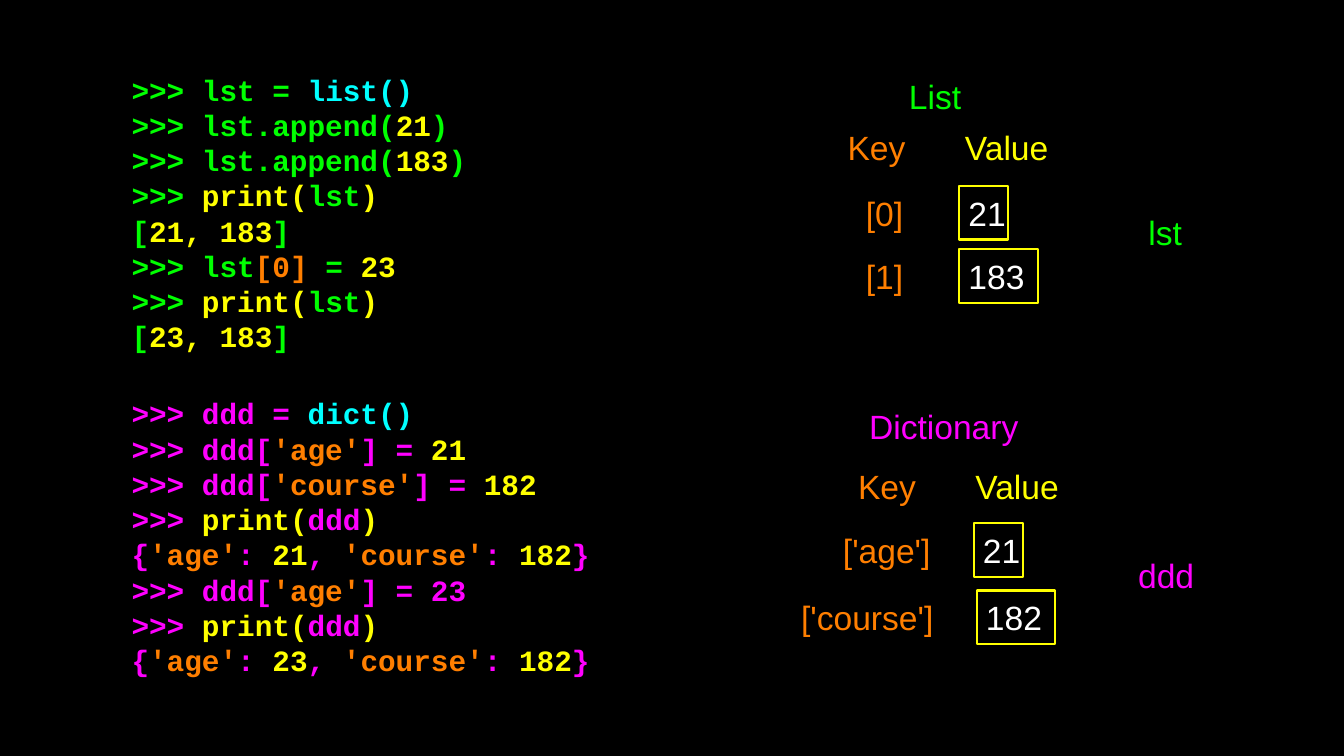
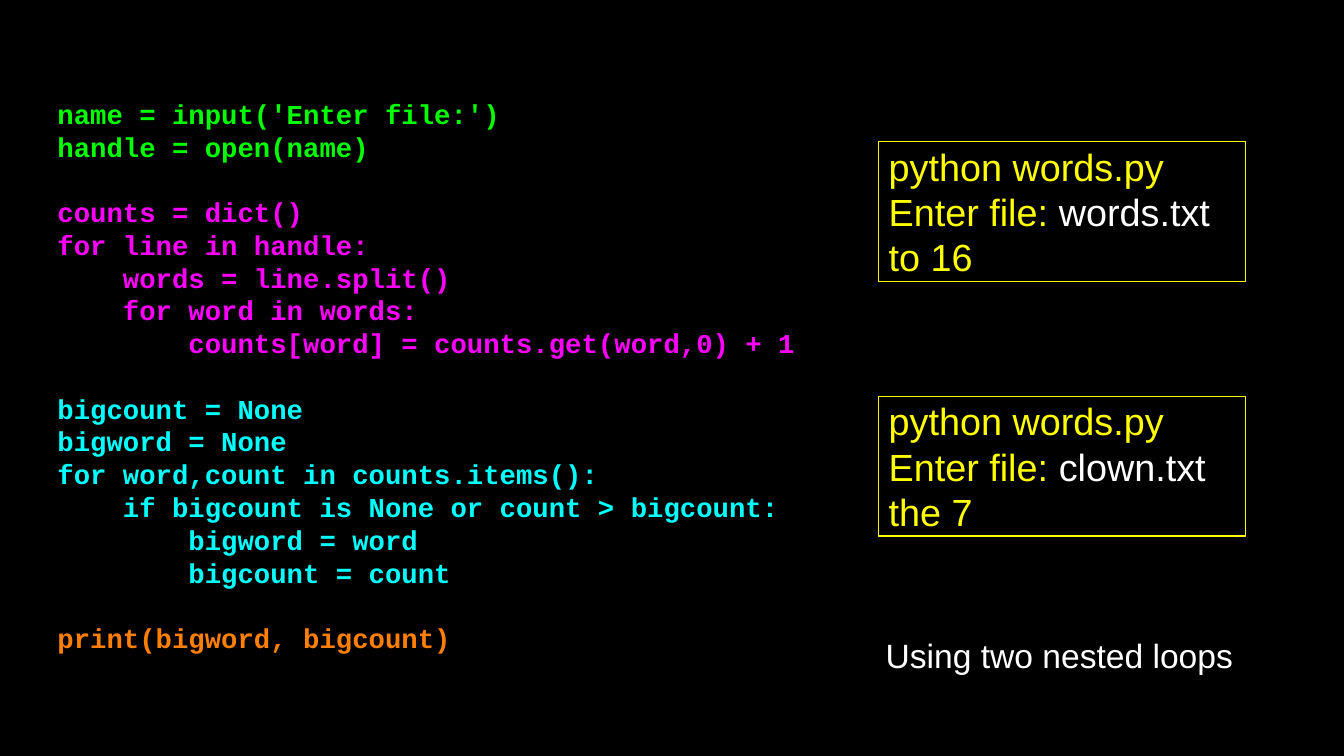
from dataclasses import dataclass
from functools import partial
from typing import NamedTuple

from pptx import Presentation
from pptx import util as u
from pptx.dml.color import RGBColor
from pptx.enum import shapes, text

Cm, Pt = u.Cm, u.Pt

# Shared style
BLACK = RGBColor(0x00, 0x00, 0x00)
WHITE = RGBColor(0xFF, 0xFF, 0xFF)
GREEN = RGBColor(0x00, 0xFF, 0x00)
CYAN = RGBColor(0x00, 0xFF, 0xFF)
YELLOW = RGBColor(0xFF, 0xFF, 0x00)
ORANGE = RGBColor(0xFF, 0x7F, 0x00)
MAGENTA = RGBColor(0xFF, 0x00, 0xFF)
LINE_HEIGHT = 1.2
LEFT, CENTER, RIGHT = (text.PP_ALIGN.LEFT, text.PP_ALIGN.CENTER,
                       text.PP_ALIGN.RIGHT)


class Run(NamedTuple):
    text: str
    color: RGBColor


class Line(NamedTuple):
    runs: list[Run]
    gap_before: bool = False


class Box(NamedTuple):
    """Left, top, width and height in centimetres."""
    left: float
    top: float
    width: float
    height: float


@dataclass(frozen=True)
class TextStyle:
    font: str
    size: int
    bold: bool = False


@dataclass(frozen=True)
class Entry:
    key: str
    value: str
    top: float
    key_left: float
    key_width: float
    value_left: float
    value_width: float


@dataclass(frozen=True)
class Collection:
    title: Run
    title_box: Box
    variable: Run
    variable_box: Box
    header_left: float
    header_top: float
    entries: list[Entry]


CODE_LARGE = TextStyle("Courier New", 28, True)
CODE_SMALL = TextStyle("Courier New", 26, True)
LABEL = TextStyle("Arial", 32)
CONSOLE = TextStyle("Arial", 36)

green, cyan, yellow, orange, magenta, white = (
    partial(Run, color=color)
    for color in (GREEN, CYAN, YELLOW, ORANGE, MAGENTA, WHITE))


# Drawing
def write_text(shape, lines: list[Line], style: TextStyle,
               align=LEFT, inset: float = 0) -> None:
    frame = shape.text_frame
    frame.word_wrap = True
    frame.vertical_anchor = text.MSO_ANCHOR.MIDDLE
    frame.margin_left = Cm(inset)
    frame.margin_right = frame.margin_top = frame.margin_bottom = 0
    for index, line in enumerate(lines):
        paragraph = frame.add_paragraph() if index else frame.paragraphs[0]
        paragraph.alignment = align
        paragraph.line_spacing = Pt(style.size * LINE_HEIGHT)
        if line.gap_before:
            paragraph.space_before = Pt(style.size * LINE_HEIGHT)
        font = paragraph.font
        font.name, font.size, font.bold = style.font, Pt(style.size), style.bold
        one_color = len({part.color for part in line.runs}) == 1
        if one_color:
            font.color.rgb = line.runs[0].color
        for part in line.runs:
            run = paragraph.add_run()
            run.text = part.text
            if not one_color:
                run.font.color.rgb = part.color


def add_text(slide, box: Box, lines: list[Line], style: TextStyle,
             align=LEFT, inset: float = 0) -> None:
    shape = slide.shapes.add_textbox(*map(Cm, box))
    write_text(shape, lines, style, align, inset)


def add_label(slide, box: Box, run: Run, align=CENTER) -> None:
    add_text(slide, box, [Line([run])], LABEL, align)


def add_frame(slide, box: Box, lines: list[Line], style: TextStyle,
              border: float, inset: float) -> None:
    shape = slide.shapes.add_shape(shapes.MSO_SHAPE.RECTANGLE, *map(Cm, box))
    shape.shadow.inherit = False
    shape.fill.background()
    shape.line.color.rgb = YELLOW
    shape.line.width = Pt(border)
    write_text(shape, lines, style, LEFT, inset)


def draw_collection(slide, collection: Collection) -> None:
    add_label(slide, collection.title_box, collection.title)
    add_label(slide, collection.variable_box, collection.variable)
    left, top = collection.header_left, collection.header_top
    add_label(slide, Box(left, top, 2.21, 1.73), orange("Key"))
    add_label(slide, Box(left + 3.94, top, 3.07, 1.73), yellow("Value"))
    for entry in collection.entries:
        add_label(slide, Box(entry.key_left, entry.top + 0.04,
                             entry.key_width, 1.73), orange(entry.key), RIGHT)
        add_frame(slide,
                  Box(entry.value_left, entry.top, entry.value_width, 1.8),
                  [Line([white(entry.value)])], LABEL, 2, 0.31)


# Slide 1: lists and dictionaries
def print_line(tint, name: str) -> Line:
    return Line([tint(">>> "), yellow("print("), tint(name), yellow(")")])


def append_line(value: str) -> Line:
    return Line([green(">>> lst.append("), yellow(value), green(")")])


def list_output(values: str) -> Line:
    return Line([green("["), yellow(values), green("]")])


def assign_line(key: str, *value: Run) -> Line:
    return Line([magenta(">>> ddd["), orange(key), magenta("] = "), *value])


def dict_output(age: str) -> Line:
    return Line([magenta("{"), orange("'age'"), magenta(": "), yellow(age),
                 magenta(", "), orange("'course'"), magenta(": "),
                 yellow("182"), magenta("}")])


LIST_CODE = [
    Line([green(">>> lst = "), cyan("list()")]),
    append_line("21"),
    append_line("183"),
    print_line(green, "lst"),
    list_output("21, 183"),
    Line([green(">>> lst"), orange("[0]"), green(" = "), yellow("23")]),
    print_line(green, "lst"),
    list_output("23, 183"),
]
DICT_CODE = [
    Line([magenta(">>> ddd = "), cyan("dict()")]),
    assign_line("'age'", yellow("21")),
    assign_line("'course'", yellow("182")),
    print_line(magenta, "ddd"),
    dict_output("21"),
    assign_line("'age'", magenta("23")),
    print_line(magenta, "ddd"),
    dict_output("23"),
]
COLLECTIONS = [
    Collection(green("List"), Box(30.1, 2.16, 2.64, 2.16),
               green("lst"), Box(38.25, 6.71, 1.8, 2.16), 28.35, 4.06,
               [Entry("[0]", "21", 6.25, 28.55, 1.8, 32.23, 1.65),
                Entry("[1]", "183", 8.38, 28.55, 1.8, 32.23, 2.64)]),
    Collection(magenta("Dictionary"), Box(28.07, 13.23, 7.29, 2.16),
               magenta("ddd"), Box(37.8, 18.24, 2.77, 2.16), 28.7, 15.47,
               [Entry("['age']", "21", 17.58, 27.94, 3.33, 32.72, 1.65),
                Entry("['course']", "182", 19.84, 26.24, 5.13, 32.82, 2.64)]),
]


def build_collections(slide) -> None:
    add_text(slide, Box(4.42, 2.16, 15.8, 9.98), LIST_CODE, CODE_LARGE)
    add_text(slide, Box(4.42, 12.55, 17.27, 10.95), DICT_CODE, CODE_LARGE)
    for collection in COLLECTIONS:
        draw_collection(slide, collection)


# Slide 2: word count program
PROGRAM = [
    (green, """name = input('Enter file:')
handle = open(name)"""),
    (magenta, """counts = dict()
for line in handle:
    words = line.split()
    for word in words:
        counts[word] = counts.get(word,0) + 1"""),
    (cyan, """bigcount = None
bigword = None
for word,count in counts.items():
    if bigcount is None or count > bigcount:
        bigword = word
        bigcount = count"""),
    (orange, "print(bigword, bigcount)"),
]
SESSIONS = [(4.75, "words.txt", "to 16"), (13.31, "clown.txt", "the 7")]
SESSION_LEFT, SESSION_WIDTH = 29.51, 12.34


def build_word_count(slide) -> None:
    code = [Line([tint(row)], gap_before=section > 0 and index == 0)
            for section, (tint, source) in enumerate(PROGRAM)
            for index, row in enumerate(source.splitlines())]
    add_text(slide, Box(1.93, 2.39, 25.63, 20.45), code, CODE_SMALL)
    for top, file_name, result in SESSIONS:
        session = [Line([yellow("python words.py")]),
                   Line([yellow("Enter file: "), white(file_name)]),
                   Line([yellow(result)])]
        add_frame(slide, Box(SESSION_LEFT, top, SESSION_WIDTH, 4.7),
                  session, CONSOLE, 1, 0.35)
    add_text(slide, Box(SESSION_LEFT, 21.18, SESSION_WIDTH, 1.63),
             [Line([white("Using two nested loops")])], LABEL, inset=0.25)


def main() -> None:
    presentation = Presentation()
    presentation.slide_width, presentation.slide_height = Cm(45.16), Cm(25.4)
    background = presentation.slide_master.background.fill
    background.solid()
    background.fore_color.rgb = BLACK
    blank = presentation.slide_layouts[6]
    for build in (build_collections, build_word_count):
        build(presentation.slides.add_slide(blank))
    presentation.save("out.pptx")


if __name__ == "__main__":
    main()
